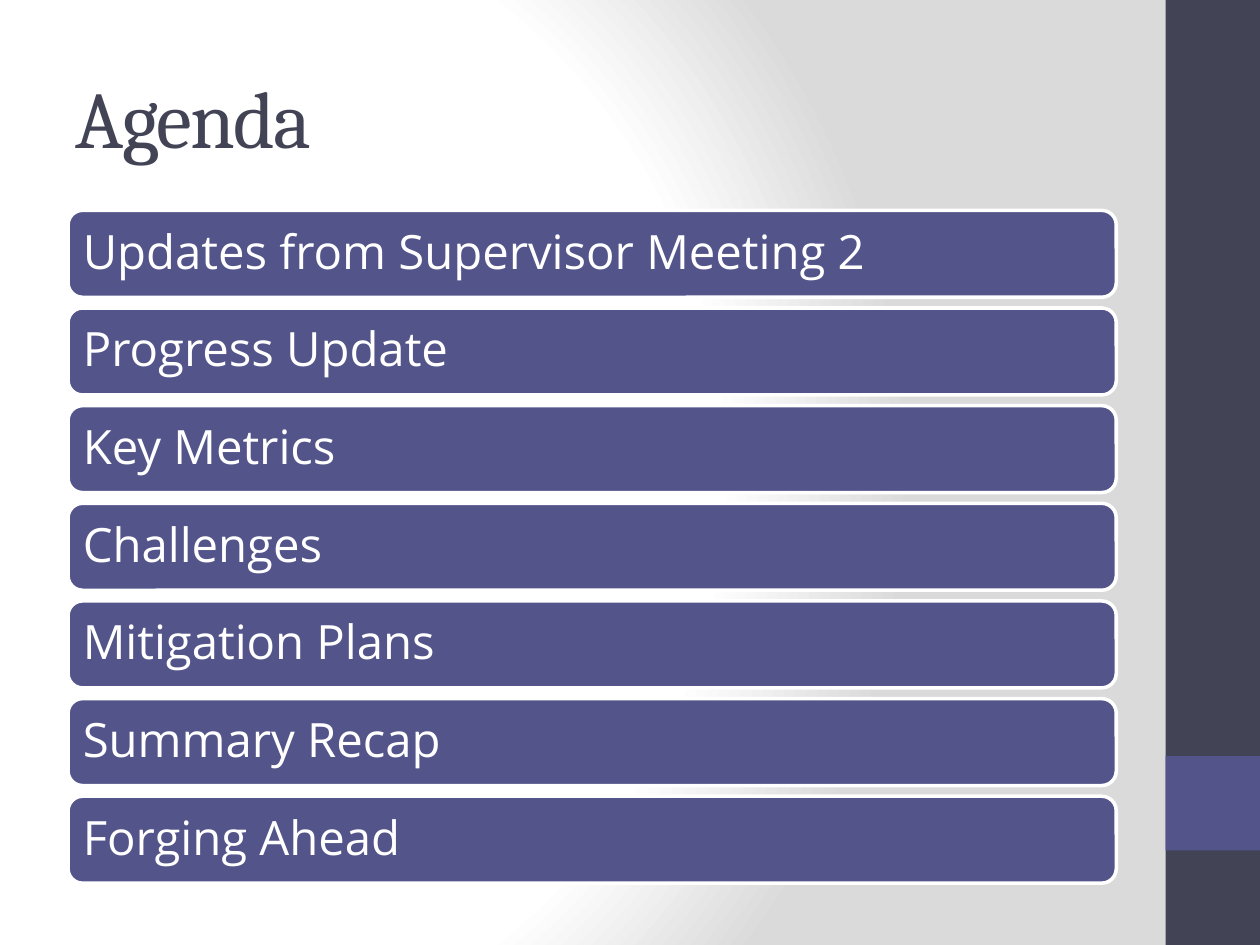
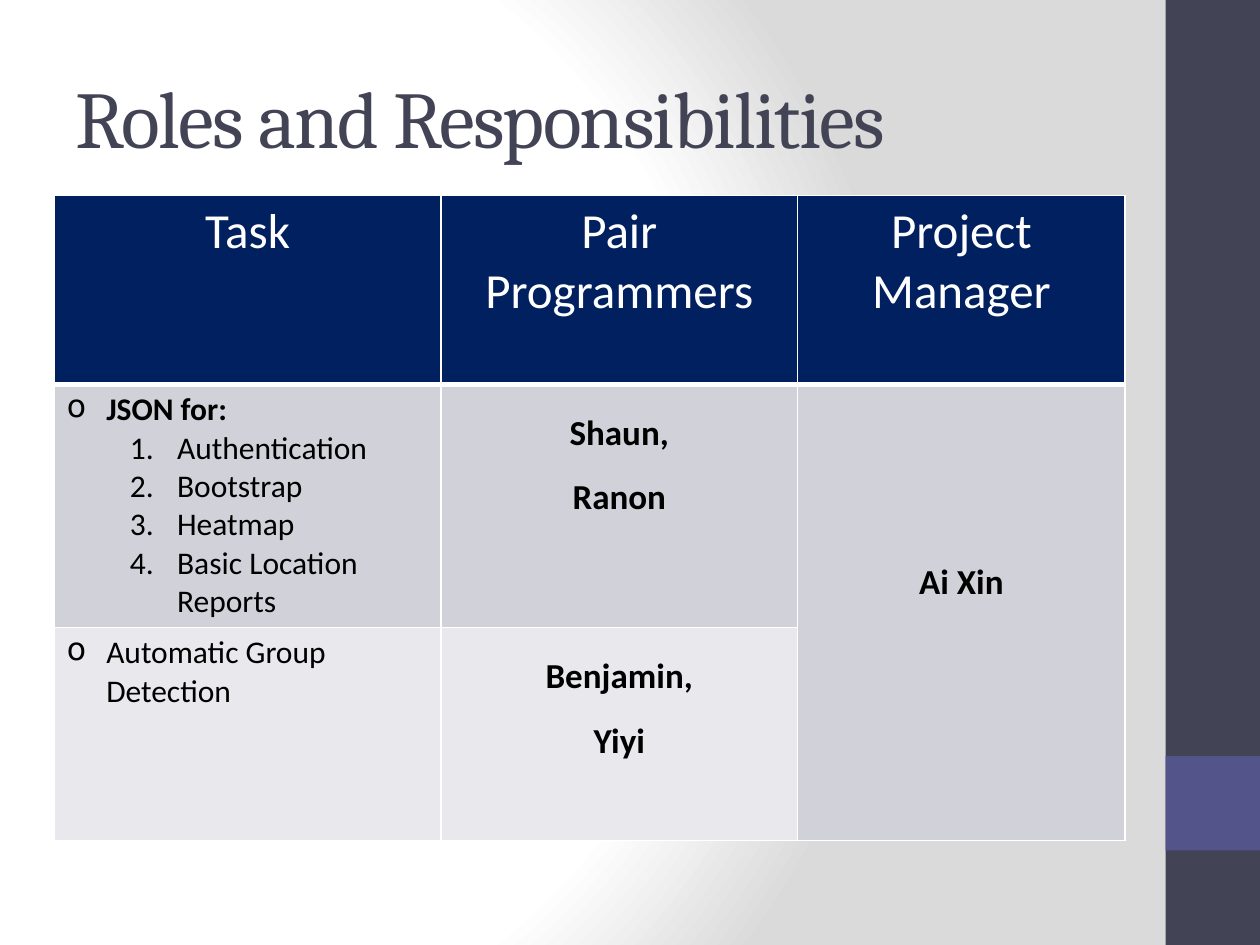
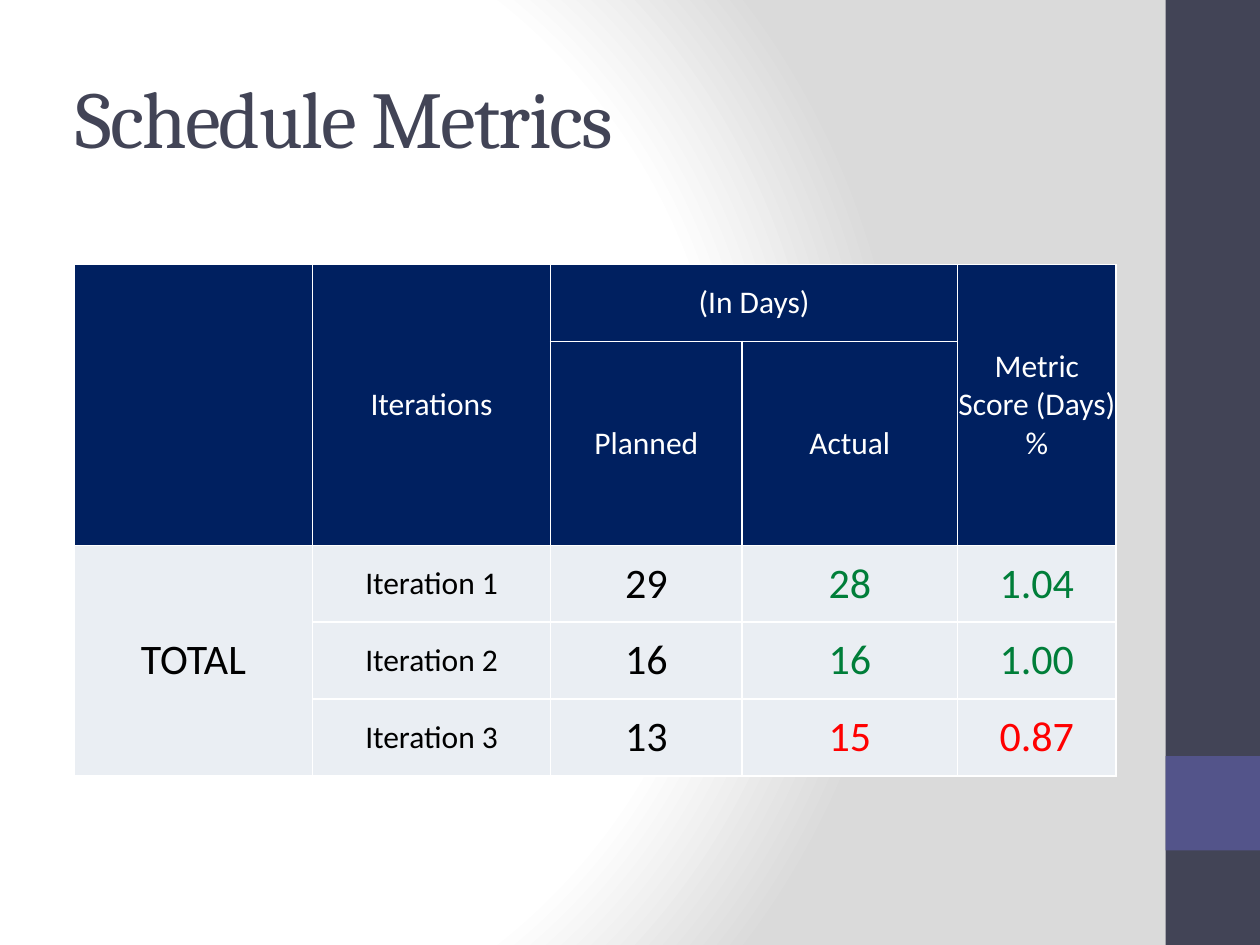
"""Builds three project review slides: agenda, roles and schedule metrics."""
from pptx import Presentation
from pptx.dml.color import RGBColor
from pptx.enum.shapes import MSO_SHAPE as Shape
from pptx.enum.text import MSO_ANCHOR as Anchor, MSO_AUTO_SIZE as AutoSize, PP_ALIGN as Align
from pptx.oxml import parse_xml
from pptx.oxml.ns import nsdecls, qn
from pptx.util import Pt

WHITE, BLACK = "FFFFFF", "000000"
SLATE, INDIGO, NAVY = "424456", "53548A", "002060"
SILVER, LILAC, PALE = "DADADA", "D1D1DA", "E9E9ED"
ICE, GREEN, RED = "EAEEF3", "007E39", "FF0000"
TITLE_FONT, AGENDA_FONT, TABLE_FONT = "Cambria", "Open Sans", "Calibri"

PAGE_WIDTH, PAGE_HEIGHT = 720, 540
BAND_WIDTH = 54
TITLE_BOX = (36, 21.6, 600, 90)
AGENDA_BOX = (38.9, 120.2, 599, 384.5)
ROLES_BOX = (31, 111.6, 612, 366.5)
METRICS_BOX = (42.5, 151.2, 595.4, 291.6)

AGENDA = ["Updates from Supervisor Meeting 2", "Progress Update", "Key Metrics",
          "Challenges", "Mitigation Plans", "Summary Recap", "Forging Ahead"]
JSON_PARTS = ["Authentication", "Bootstrap", "Heatmap", "Basic Location Reports"]
ITERATIONS = [("Iteration 1", "29", "28", "1.04", GREEN),
              ("Iteration 2", "16", "16", "1.00", GREEN),
              ("Iteration 3", "13", "15", "0.87", RED)]


def colour(value):
    """Turn a hex string into a colour."""
    return RGBColor.from_string(value)


def points(box):
    """Turn a box of numbers into lengths."""
    return [Pt(value) for value in box]


def set_bullet(para, tag, attribute, value, margin, hanging):
    """Give a paragraph a bullet or number with a hanging indent."""
    properties = para._p.get_or_add_pPr()
    properties.set("marL", str(Pt(margin)))
    properties.set("indent", str(-Pt(hanging)))
    properties.append(parse_xml(f'<a:{tag} {nsdecls("a")} {attribute}="{value}"/>'))


def add_text(frame, text, font=TABLE_FONT, size=18, color=BLACK, bold=False,
             align=Align.CENTER, line=None, before=None, tracking=None, bullet=None):
    """Add one formatted paragraph to a text frame."""
    para = frame.add_paragraph() if frame.text else frame.paragraphs[0]
    para.alignment = align
    if line:
        para.line_spacing = line
    if before:
        para.space_before = Pt(before)
    if bullet:
        set_bullet(para, *bullet)
    span = para.add_run()
    span.text = text
    span.font.name, span.font.size, span.font.bold = font, Pt(size), bold
    span.font.color.rgb = colour(color)
    if tracking:
        span._r.get_or_add_rPr().set("spc", str(tracking))


def add_block(page, kind, box, fill, line=None):
    """Add a filled shape without shadow."""
    block = page.shapes.add_shape(kind, *points(box))
    block.shadow.inherit = False
    block.fill.solid()
    block.fill.fore_color.rgb = colour(fill)
    if line:
        block.line.color.rgb = colour(line)
        block.line.width = Pt(2)
    else:
        block.line.fill.background()
    return block


def paint_background(master):
    """Give the master its round white to silver gradient."""
    master.background.fill.solid()
    stops = "".join(f'<a:gs pos="{place * 1000}"><a:srgbClr val="{value}"/></a:gs>'
                    for place, value in [(0, WHITE), (75, WHITE), (100, SILVER)])
    properties = master.element.find(".//" + qn("p:bgPr"))
    properties.replace(properties[0], parse_xml(
        f'<a:gradFill {nsdecls("a")} rotWithShape="1"><a:gsLst>{stops}</a:gsLst>'
        '<a:path path="circle"><a:fillToRect l="20000" t="50000" r="100000" b="50000"/>'
        '</a:path></a:gradFill>'))


def add_side_band(page, master):
    """Draw the right band and its accent square, and move them to the master."""
    left = PAGE_WIDTH - BAND_WIDTH
    parts = [((left, 0, BAND_WIDTH, PAGE_HEIGHT), SLATE),
             ((left, 432, BAND_WIDTH, BAND_WIDTH), INDIGO)]
    for number, (box, fill) in enumerate(parts, 20):
        block = add_block(page, Shape.RECTANGLE, box, fill)
        block.element.nvSpPr.cNvPr.set("id", str(number))
        master.shapes.element.insert(number - 18, block.element)


def add_page(deck, title):
    """Add a slide with the shared title style."""
    page = deck.slides.add_slide(deck.slide_layouts.get_by_name("Title Only"))
    box = page.shapes.title
    box.left, box.top, box.width, box.height = points(TITLE_BOX)
    frame = box.text_frame
    frame.auto_size = AutoSize.NONE
    frame.vertical_anchor = Anchor.MIDDLE
    add_text(frame, title, font=TITLE_FONT, size=46, color=SLATE,
             align=Align.LEFT, tracking=-100)
    return page


def add_agenda(page, box, items, bar_height=49.7):
    """Stack one rounded bar for each agenda item."""
    left, top, width, height = box
    pitch = (height - bar_height) / (len(items) - 1)
    for index, item in enumerate(items):
        bar = add_block(page, Shape.ROUNDED_RECTANGLE,
                        (left, top + index * pitch, width, bar_height), INDIGO, WHITE)
        frame = bar.text_frame
        frame.word_wrap = True
        frame.vertical_anchor = Anchor.MIDDLE
        frame.margin_left = frame.margin_right = Pt(6)
        add_text(frame, item, font=AGENDA_FONT, size=27, color=WHITE,
                 align=Align.LEFT, line=0.9)


def add_grid(page, box, widths, heights):
    """Add a plain table with the given column widths and row heights."""
    table = page.shapes.add_table(len(heights), len(widths), *points(box)).table
    table.first_row = table.horz_banding = False
    for column, width in zip(table.columns, widths):
        column.width = Pt(width)
    for row, height in zip(table.rows, heights):
        row.height = Pt(height)
    return table


def style_cell(cell, fill, top=1, bottom=1):
    """Give a cell white borders and a fill."""
    properties = cell._tc.get_or_add_tcPr()
    for side, width in [("L", 1), ("R", 1), ("T", top), ("B", bottom)]:
        properties.append(parse_xml(
            f'<a:ln{side} {nsdecls("a")} w="{Pt(width)}"><a:solidFill>'
            f'<a:srgbClr val="{WHITE}"/></a:solidFill></a:ln{side}>'))
    cell.fill.solid()
    cell.fill.fore_color.rgb = colour(fill)


def add_roles(page, box):
    """Fill the table of tasks, programmers and manager."""
    table = add_grid(page, box, (221, 203.8, 187.2), (108, 121.7, 121.7))
    circle = ("buChar", "char", "o", 22.5, 22.5)
    number = ("buAutoNum", "type", "arabicPeriod", 63, 27)
    for column, heading in enumerate(["Task", "Pair Programmers", "Project Manager"]):
        cell = table.cell(0, column)
        style_cell(cell, NAVY, bottom=3)
        add_text(cell.text_frame, heading, size=28, color=WHITE, before=12)
        style_cell(table.cell(1, column), LILAC, top=3)
        style_cell(table.cell(2, column), LILAC if column == 2 else PALE)

    tasks = table.cell(1, 0).text_frame
    add_text(tasks, "JSON for:", bold=True, align=Align.LEFT, bullet=circle)
    for part in JSON_PARTS:
        add_text(tasks, part, align=Align.LEFT, bullet=number)
    add_text(table.cell(2, 0).text_frame, "Automatic Group Detection",
             align=Align.LEFT, bullet=circle)
    for row, pair in enumerate([("Shaun,", "Ranon"), ("Benjamin,", "Yiyi")], 1):
        for name in pair:
            add_text(table.cell(row, 1).text_frame, name, size=20, bold=True, line=1.5)

    manager = table.cell(1, 2)
    manager.merge(table.cell(2, 2))
    manager.margin_top = Pt(101)
    add_text(manager.text_frame, "Ai Xin", size=20, bold=True)


def add_metrics(page, box):
    """Fill the table of planned and actual days."""
    table = add_grid(page, box, (136.1, 136.1, 109.4, 123.1, 90.7),
                     (43.9, 116.6, 43.9, 43.9, 43.9))
    for row in range(5):
        for column in range(5):
            cell = table.cell(row, column)
            style_cell(cell, NAVY if row < 2 else ICE)
            cell.vertical_anchor = Anchor.MIDDLE
            cell.margin_left = cell.margin_right = cell.margin_top = cell.margin_bottom = 0
    for first, last in [((0, 0), (1, 0)), ((0, 1), (1, 1)), ((0, 2), (0, 3)),
                        ((0, 4), (1, 4)), ((2, 0), (4, 0))]:
        table.cell(*first).merge(table.cell(*last))

    headings = [(0, 1, "Iterations"), (0, 2, "(In Days)"), (0, 4, "Metric Score (Days)"),
                (0, 4, "%"), (1, 2, "Planned"), (1, 3, "Actual")]
    for row, column, heading in headings:
        add_text(table.cell(row, column).text_frame, heading, color=WHITE)
    add_text(table.cell(2, 0).text_frame, "TOTAL", size=24)
    for row, (name, planned, actual, score, verdict) in enumerate(ITERATIONS, 2):
        add_text(table.cell(row, 1).text_frame, name)
        for column, value, color in [(2, planned, BLACK), (3, actual, verdict),
                                     (4, score, verdict)]:
            add_text(table.cell(row, column).text_frame, value, size=24, color=color)


def build():
    """Build and save the deck."""
    deck = Presentation()
    deck.slide_width, deck.slide_height = Pt(PAGE_WIDTH), Pt(PAGE_HEIGHT)
    paint_background(deck.slide_master)
    page = add_page(deck, "Agenda")
    add_side_band(page, deck.slide_master)
    add_agenda(page, AGENDA_BOX, AGENDA)
    add_roles(add_page(deck, "Roles and Responsibilities"), ROLES_BOX)
    add_metrics(add_page(deck, "Schedule Metrics"), METRICS_BOX)
    deck.save("out.pptx")


build()
